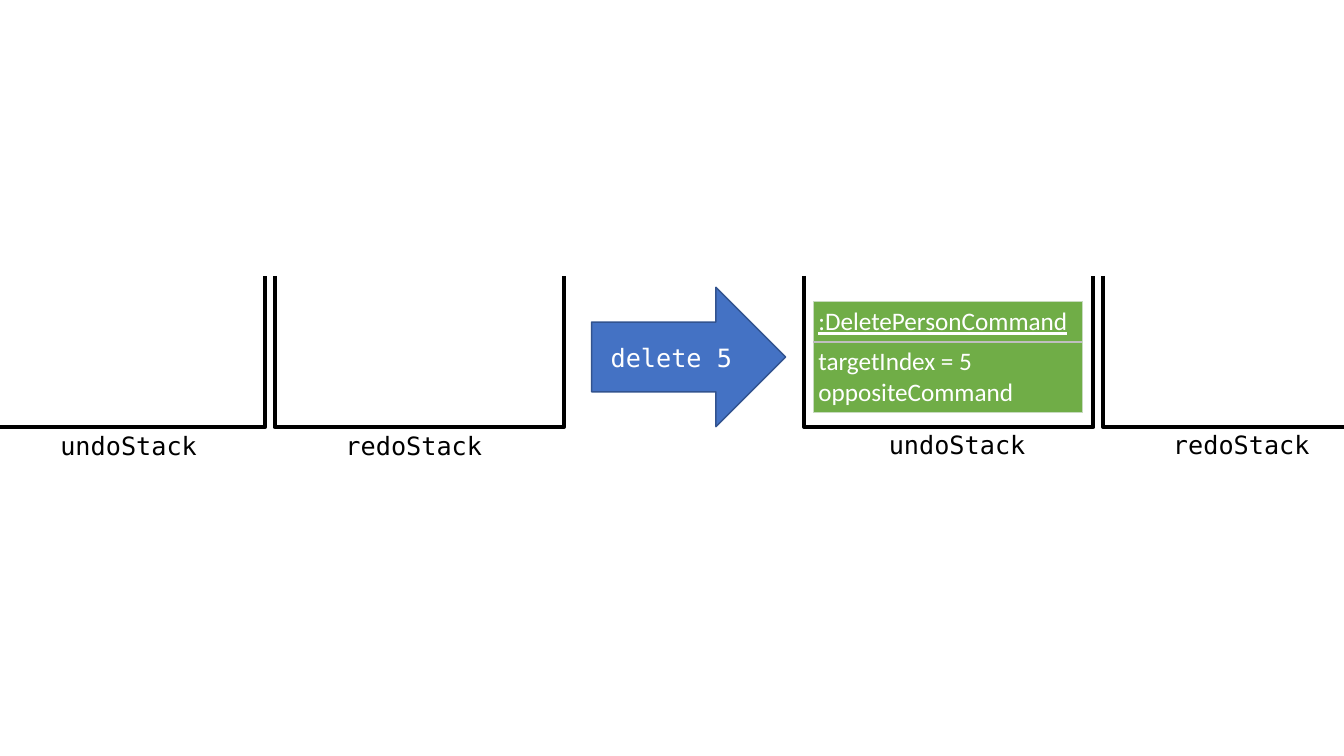
from pptx import Presentation
from pptx.dml.color import RGBColor as RGB
from pptx.enum.shapes import MSO_SHAPE as Shape
from pptx.enum.text import MSO_ANCHOR as Anchor, MSO_AUTO_SIZE as Auto, PP_ALIGN as Align
from pptx.oxml import parse_xml
from pptx.oxml.ns import nsdecls
from pptx.util import Pt

COLORS = {"ink": "000000", "white": "FFFFFF", "blue": "4472C4", "navy": "32538F",
          "green": "70AD47", "pale": "C7DBBF", "gray": "BFBFBF"}


class Board:
    mono, sans, size, pad = "DejaVu Sans Mono", "Calibri", 18, 3.6

    def __init__(self, slide):
        self.slide = slide
        self.shapes = slide.shapes

    def color(self, name):
        return RGB.from_string(COLORS[name])

    def style(self, para, face, color, under=None):
        font = para.font
        font.name, font.size, font.underline = face, Pt(self.size), under
        font.color.rgb = self.color(color)

    def label(self, text, left, top, width, color="ink", anchor=Anchor.TOP):
        box = self.shapes.add_textbox(Pt(left), Pt(top), Pt(width), Pt(25.2))
        frame = box.text_frame
        frame.word_wrap = True
        frame.auto_size = Auto.SHAPE_TO_FIT_TEXT
        frame.vertical_anchor = anchor
        frame.margin_left = frame.margin_right = Pt(self.pad)
        frame.margin_top = frame.margin_bottom = Pt(self.pad)
        para = frame.paragraphs[0]
        para.text, para.alignment = text, Align.CENTER
        self.style(para, self.mono, color)

    def arrow(self, left, top, width, height):
        shape = self.shapes.add_shape(Shape.RIGHT_ARROW, Pt(left), Pt(top), Pt(width), Pt(height))
        shape.shadow.inherit = False
        shape.fill.solid()
        shape.fill.fore_color.rgb = self.color("blue")
        shape.line.color.rgb = self.color("navy")
        shape.line.width = Pt(1)

    def stack(self, left, top, width, height):
        right, base = left + width, top + height
        pen = self.shapes.build_freeform(Pt(left), Pt(top))
        pen.add_line_segments([(Pt(left), Pt(base)), (Pt(right), Pt(base)),
                               (Pt(right), Pt(top))], close=False)
        shape = pen.convert_to_shape()
        shape.shadow.inherit = False
        shape.fill.background()
        shape.line.color.rgb = self.color("ink")
        shape.line.width = Pt(3)

    def border(self, cell, edges):
        props = cell._tc.get_or_add_tcPr()
        for spot, (side, (color, width)) in enumerate(edges.items()):
            props.insert(spot, parse_xml(
                f'<a:ln{side} {nsdecls("a")} w="{Pt(width)}"><a:solidFill>'
                f'<a:srgbClr val="{COLORS[color]}"/></a:solidFill></a:ln{side}>'))

    def table(self, rows, left, top, width, height):
        grid = self.shapes.add_table(len(rows), 1, Pt(left), Pt(top),
                                     Pt(width), Pt(height * len(rows))).table
        grid.first_row = grid.horz_banding = False
        thin, rule = ("pale", 0.5), ("gray", 1)
        for num, lines in enumerate(rows):
            cell = grid.cell(num, 0)
            cell.margin_left = cell.margin_right = Pt(self.pad)
            cell.margin_top = cell.margin_bottom = Pt(self.pad)
            cell.fill.solid()
            cell.fill.fore_color.rgb = self.color("green")
            cell.text = "\n".join(lines)
            for para in cell.text_frame.paragraphs:
                self.style(para, self.sans, "white", num == 0)
            self.border(cell, {"L": thin, "R": thin, "T": rule if num else thin,
                               "B": rule if num < len(rows) - 1 else thin})


deck = Presentation()
deck.slide_width, deck.slide_height = Pt(960), Pt(540)
board = Board(deck.slides.add_slide(deck.slide_layouts[6]))

for name, left, top in (("undoStack", -5, 303.8), ("redoStack", 198.7, 303.8),
                        ("undoStack", 586.8, 303.4), ("redoStack", 789.8, 303.2)):
    board.label(name, left, top, 193.7)

board.arrow(422.6, 205.2, 138.6, 99.6)
board.label("delete 5", 422.6, 242.6, 113.8, "white", Anchor.MIDDLE)
board.table([[":DeletePersonCommand"], ["targetIndex = 5", "oppositeCommand"]],
            581, 215.4, 191.8, 25.6)

for start in (-17.2, 574.5):
    for step in range(2):
        board.stack(start + step * 213.4, 197, 206.5, 108)

deck.save("out.pptx")
